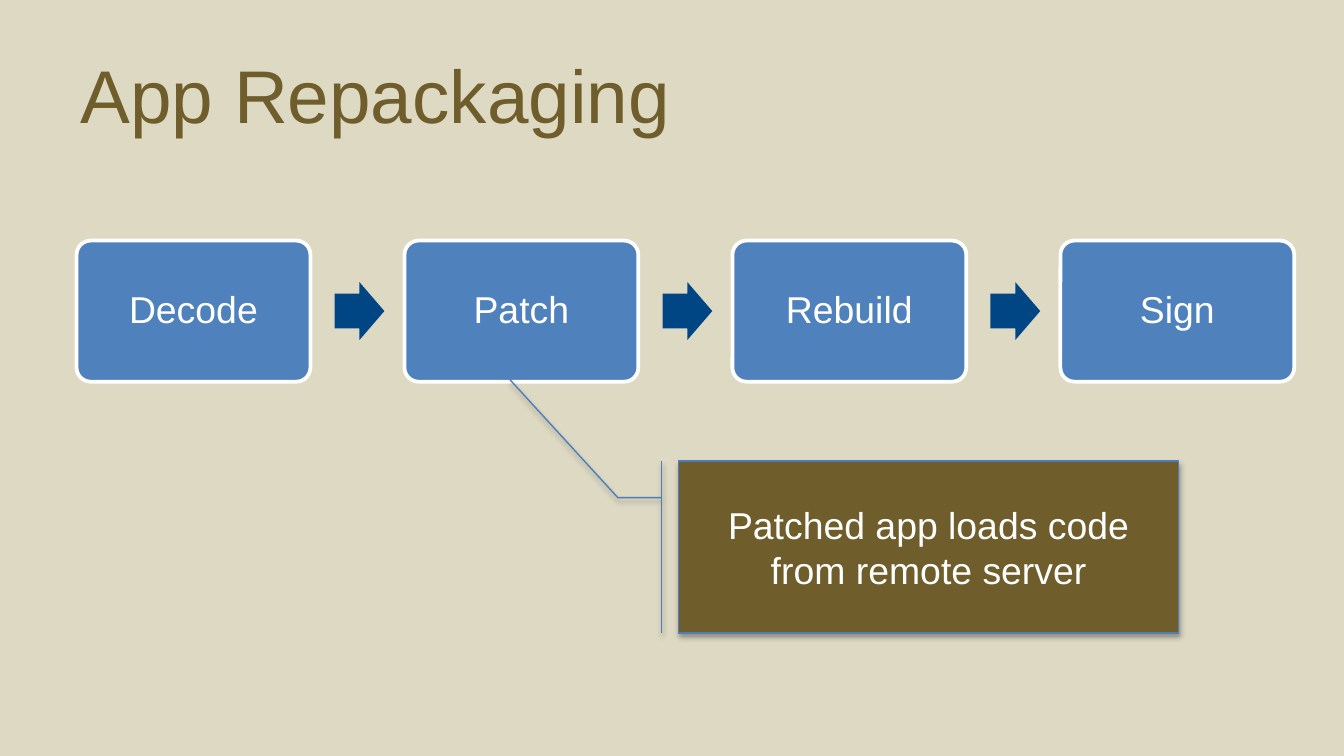
from lxml import etree
from pptx import Presentation, util as u
from pptx.dml.color import RGBColor
from pptx.enum import shapes, text
from pptx.oxml.ns import qn

WHITE, BROWN, BLUE, NAVY = "FFFFFF", "6F5D2B", "4F81BD", "004685"


def colour(fill, value):
    fill.solid()
    fill.fore_color.rgb = RGBColor.from_string(value)


def add_block(kind, box, adjustments, fill, line=None, width=0, label="", spacing=1.0):
    """Add a filled preset shape; box holds left, top, width, height in inches."""
    block = slide.shapes.add_shape(kind, *map(u.Inches, box))
    block.shadow.inherit = False
    for i, value in enumerate(adjustments):
        block.adjustments[i] = value
    colour(block.fill, fill)
    if line:
        colour(block.line.fill, line)
        block.line.width = u.Pt(width)
    else:
        block.line.fill.background()
    if label:
        frame = block.text_frame
        frame.text = label
        frame.vertical_anchor = text.MSO_ANCHOR.MIDDLE
        paragraph = frame.paragraphs[0]
        paragraph.alignment = text.PP_ALIGN.CENTER
        paragraph.line_spacing = spacing
        for name, value in {"name": "Arial", "size": u.Pt(20)}.items():
            setattr(paragraph.font, name, value)
        colour(paragraph.font.fill, WHITE)
    return block


deck = Presentation()
deck.slide_width = u.Inches(10)
deck.slide_height = deck.slide_width * 9 // 16
slide = deck.slides.add_slide(deck.slide_layouts[5])
colour(slide.background.fill, "DDD9C3")

# Title
title = slide.shapes.title
title_box = {"left": 0.5, "top": 0.23, "width": 9, "height": 0.94}
for name, value in title_box.items():
    setattr(title, name, u.Inches(value))
title.text_frame.text = "App Repackaging"
title.text_frame.vertical_anchor = text.MSO_ANCHOR.MIDDLE
heading = title.text_frame.paragraphs[0]
heading.alignment = text.PP_ALIGN.LEFT
for name, value in {"name": "Arial", "size": u.Pt(40)}.items():
    setattr(heading.font, name, value)
colour(heading.font.fill, BROWN)

# Process steps, with an arrow in each gap
steps = ["Decode", "Patch", "Rebuild", "Sign"]
row_left, row_top, pitch = 0.57, 1.79, 2.44
step_width, step_height = 1.74, 1.05
arrow_width, arrow_height, arrow_gap = 0.37, 0.43, 0.18
arrow_top = row_top + (step_height - arrow_height) / 2
for column, step in enumerate(steps):
    left = row_left + column * pitch
    add_block(shapes.MSO_SHAPE.ROUNDED_RECTANGLE,
              (left, row_top, step_width, step_height),
              [0.1], BLUE, WHITE, 2, step, 0.9)
    if column < len(steps) - 1:
        add_block(shapes.MSO_SHAPE.RIGHT_ARROW,
                  (left + step_width + arrow_gap, arrow_top, arrow_width, arrow_height),
                  [0.6, 0.5], NAVY)

# Callout pointing at the Patch step
callout = add_block(shapes.MSO_SHAPE.LINE_CALLOUT_2_BORDER_AND_ACCENT_BAR,
                    (5.05, 3.43, 3.72, 1.28),
                    [0.213, -0.034, 0.213, -0.122, -0.474, -0.338],
                    BROWN, "4B7EBC", 0.75,
                    "Patched app loads code\vfrom remote server")
effects = callout.element.spPr.find(qn("a:effectLst"))
shadow = etree.SubElement(effects, qn("a:outerShdw"), blurRad=str(u.Pt(3.1)),
                          dist=str(u.Pt(1.8)), dir="5400000", rotWithShape="0")
shade = etree.SubElement(shadow, qn("a:srgbClr"), val="000000")
etree.SubElement(shade, qn("a:alpha"), val="35000")

deck.save("out.pptx")
